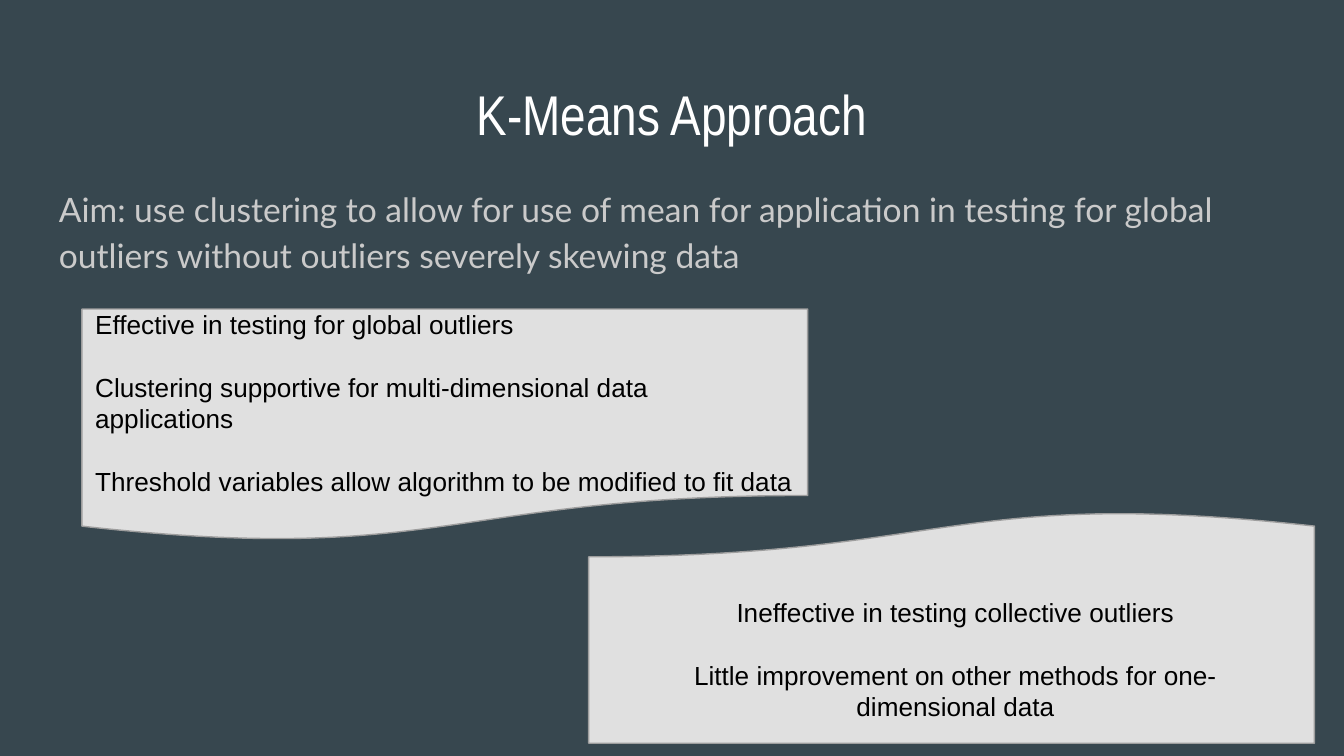
from dataclasses import dataclass

from pptx import Presentation
from pptx.dml.color import RGBColor
from pptx.enum.shapes import MSO_SHAPE
from pptx.enum.text import MSO_ANCHOR, PP_ALIGN
from pptx.util import Inches, Pt

DOCUMENT = MSO_SHAPE.FLOWCHART_DOCUMENT
TOP, MIDDLE = MSO_ANCHOR.TOP, MSO_ANCHOR.MIDDLE
LEFT, CENTER = PP_ALIGN.LEFT, PP_ALIGN.CENTER


@dataclass(frozen=True)
class TextStyle:
    font: str
    size: float
    color: str
    align: PP_ALIGN = LEFT
    anchor: MSO_ANCHOR = TOP
    line_spacing: float = 1.0
    gap: float = 0
    right_inset: float = 0.1


@dataclass(frozen=True)
class Theme:
    background: str = "37474F"
    card_fill: str = "E0E0E0"
    card_line: str = "9E9E9E"
    line_width: float = 0.75
    inset: float = 0.1
    title: TextStyle = TextStyle("Arial Narrow", 30, "FFFFFF", CENTER)
    aim: TextStyle = TextStyle("Lato", 18, "CACACA", line_spacing=1.15)
    strengths: TextStyle = TextStyle(
        "Arial", 14, "000000", anchor=MIDDLE, gap=16.8, right_inset=0.11)
    weaknesses: TextStyle = TextStyle("Arial", 14, "000000", CENTER, gap=16.8)


@dataclass(frozen=True)
class Box:
    left: float
    top: float
    width: float
    height: float

    def lengths(self) -> list:
        return [Inches(v) for v in (self.left, self.top, self.width, self.height)]


@dataclass(frozen=True)
class TextBlock:
    box: Box
    style: TextStyle
    lines: tuple


THEME = Theme()
CARD_WIDTH, CARD_HEIGHT = 5.4, 1.73
STRENGTHS_CARD = Box(0.61, 2.3, CARD_WIDTH, CARD_HEIGHT)
WEAKNESSES_CARD = Box(4.38, 3.8, CARD_WIDTH, CARD_HEIGHT)

STRENGTHS = (
    "Effective in testing for global outliers",
    "Clustering supportive for multi-dimensional data applications",
    "Threshold variables allow algorithm to be modified to fit data",
)
TEXT_BLOCKS = (
    TextBlock(Box(0.34, 0.49, 9.32, 0.63), THEME.title, ("K-Means Approach",)),
    TextBlock(Box(0.34, 1.26, 9.32, 1.14), THEME.aim, (
        "Aim: use clustering to allow for use of mean for application in testing "
        "for global outliers without outliers severely skewing data",
    )),
    TextBlock(Box(4.56, 4.34, 5.1, 1.14), THEME.weaknesses, (
        "Ineffective in testing collective outliers",
        "Little improvement on other methods for one-dimensional data",
    )),
)


def write_text(shape, lines: tuple, style: TextStyle) -> None:
    frame = shape.text_frame
    frame.word_wrap = True
    frame.vertical_anchor = style.anchor
    frame.margin_left = frame.margin_top = frame.margin_bottom = Inches(THEME.inset)
    frame.margin_right = Inches(style.right_inset)
    for index, line in enumerate(lines):
        paragraph = frame.add_paragraph() if index else frame.paragraphs[0]
        paragraph.text = line
        paragraph.alignment = style.align
        paragraph.line_spacing = style.line_spacing
        paragraph.space_before = Pt(style.gap if index else 0)
        paragraph.font.name = style.font
        paragraph.font.size = Pt(style.size)
        paragraph.font.color.rgb = RGBColor.from_string(style.color)


def add_card(slide, box: Box, rotation: float = 0):
    card = slide.shapes.add_shape(DOCUMENT, *box.lengths())
    card.rotation = rotation
    card.shadow.inherit = False
    card.fill.solid()
    card.fill.fore_color.rgb = RGBColor.from_string(THEME.card_fill)
    card.line.color.rgb = RGBColor.from_string(THEME.card_line)
    card.line.width = Pt(THEME.line_width)
    return card


def add_text(slide, block: TextBlock) -> None:
    text_box = slide.shapes.add_textbox(*block.box.lengths())
    write_text(text_box, block.lines, block.style)


def main() -> None:
    presentation = Presentation()
    presentation.slide_width = Inches(10)
    presentation.slide_height = Inches(10 * 9 / 16)
    slide = presentation.slides.add_slide(presentation.slide_layouts[6])
    slide.background.fill.solid()
    slide.background.fill.fore_color.rgb = RGBColor.from_string(THEME.background)

    strengths_card = add_card(slide, STRENGTHS_CARD)
    write_text(strengths_card, STRENGTHS, THEME.strengths)
    add_card(slide, WEAKNESSES_CARD, rotation=180)
    for block in TEXT_BLOCKS:
        add_text(slide, block)

    presentation.save("out.pptx")


if __name__ == "__main__":
    main()
